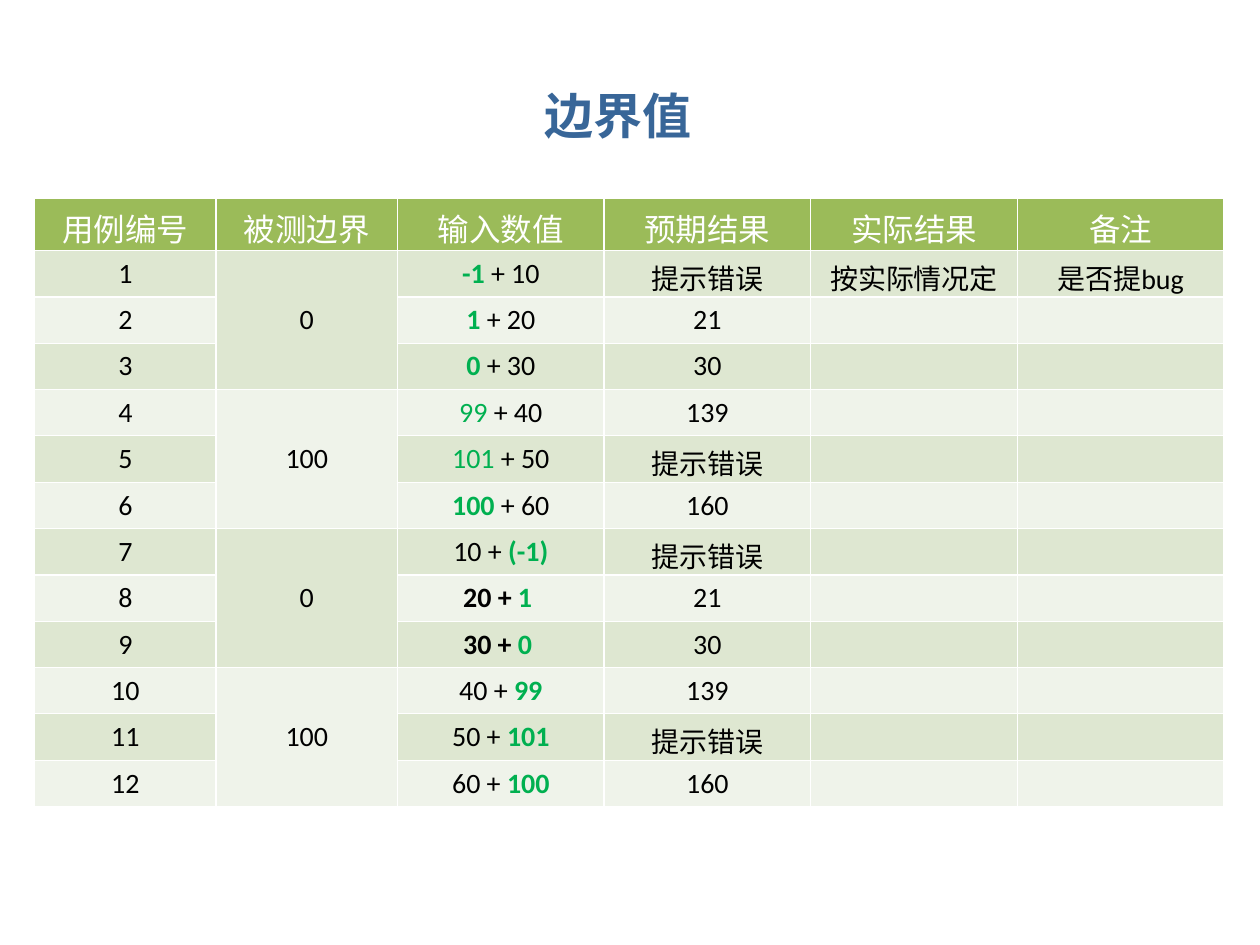
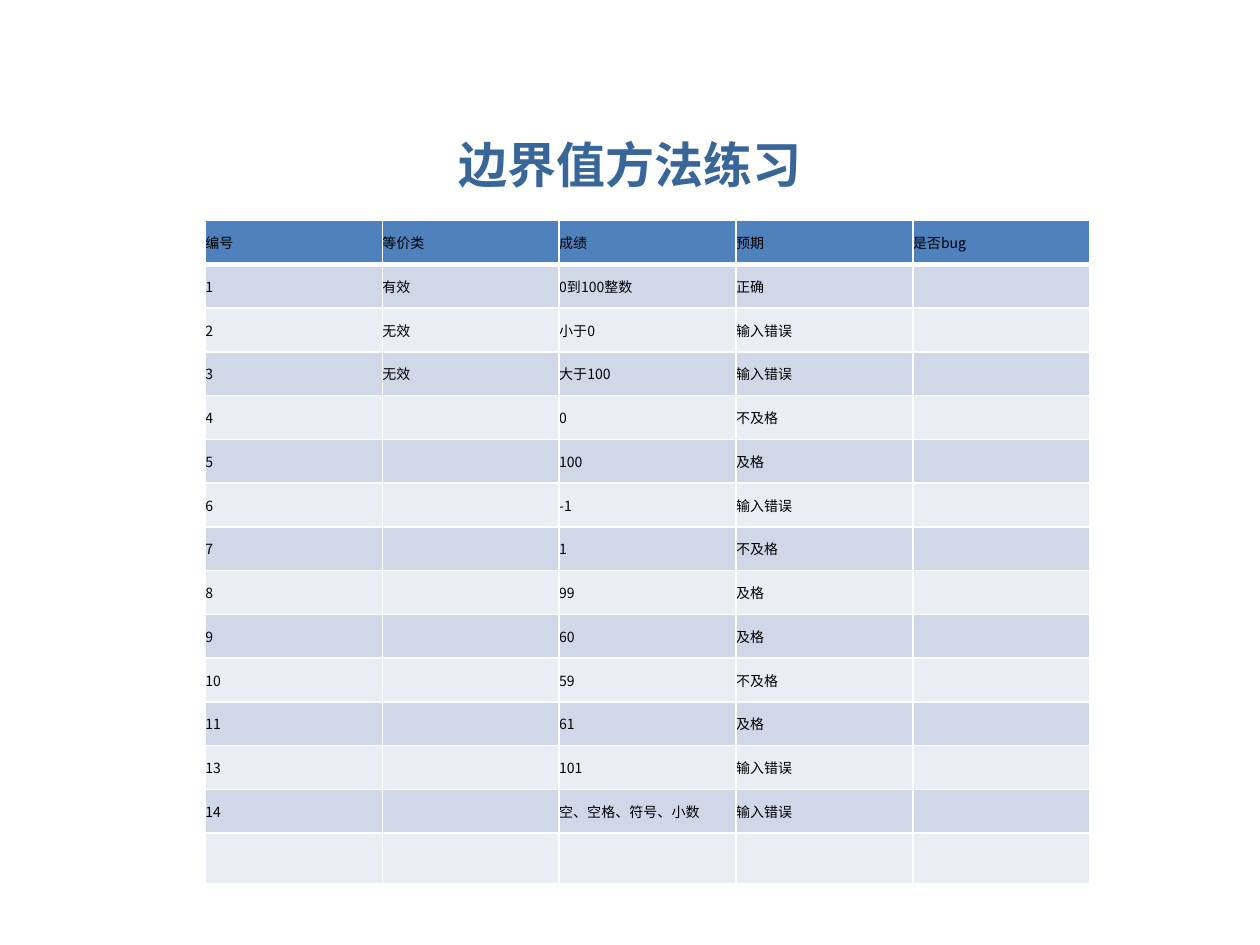
"""Builds two slides of boundary value test cases, each a title above a table."""
from dataclasses import dataclass
from typing import NamedTuple

import pptx
import pptx.dml.color
import pptx.enum.text
import pptx.oxml
import pptx.oxml.ns
import pptx.util
from lxml import etree

GRID_COLUMNS, GRID_ROWS = 100, 75
TITLE_ONLY = 5
ALIGN = pptx.enum.text.PP_ALIGN
MIDDLE = pptx.enum.text.MSO_ANCHOR.MIDDLE


@dataclass(frozen=True)
class Theme:
    """Colours, fonts and sizes shared by the slides."""
    title_font: str = "Cabin"
    title_size: int = 28
    title_color: str = "386698"
    ink: str = "000000"
    white: str = "FFFFFF"
    boundary: str = "00B050"
    thin: int = 1
    thick: int = 3


class Place(NamedTuple):
    """A rectangle in grid columns and rows."""
    left: float
    top: float
    width: float
    height: float


class Span(NamedTuple):
    """A stretch of text with its own colour and weight."""
    text: str
    color: str = ""
    bold: bool = False


class TableLook(NamedTuple):
    """The formatting of one table."""
    font: str
    header_size: int
    body_size: int
    header_color: str
    header_fill: str
    bands: tuple[str, str]
    align: ALIGN
    margin_x: float
    chinese_drop: float
    header_rule: int


class TableSlide(NamedTuple):
    """One slide: its title and its table."""
    title: str
    title_place: Place
    place: Place
    columns: list[float]
    edge_rows: dict[int, float]
    rows: list[list[str | list[Span]]]
    look: TableLook
    merges: list[tuple[int, int, int]]


THEME = Theme()
ERROR = "提示错误"
INPUT_ERROR, FAIL, PASS = "输入错误", "不及格", "及格"


def mark(text: str, bold: bool = True) -> Span:
    """Return the highlighted boundary number."""
    return Span(text, THEME.boundary, bold)


SUM_CASES = [
    ("0", [mark("-1 "), Span("+ 10")], ERROR, "按实际情况定", "是否提bug"),
    ("", [mark("1 "), Span("+ 20")], "21"),
    ("", [mark("0 "), Span("+ 30")], "30"),
    ("100", [mark("99", False), Span(" + 40")], "139"),
    ("", [mark("101", False), Span(" + 50")], ERROR),
    ("", [mark("100"), Span(" + 60")], "160"),
    ("0", [Span("10 + "), mark("(-1)")], ERROR),
    ("", [Span("20 +", bold=True), mark(" 1 ")], "21"),
    ("", [Span("30 + ", bold=True), mark("0 ")], "30"),
    ("100", [Span("40 + "), mark("99")], "139"),
    ("", [Span("50 + "), mark("101")], ERROR),
    ("", [Span("60 + "), mark("100")], "160"),
]

SCORE_CASES = [
    ("1", "有效", "0到100整数", "正确"),
    ("2", "无效", "小于0", INPUT_ERROR),
    ("3", "无效", "大于100", INPUT_ERROR),
    ("4", "", "0", FAIL),
    ("5", "", "100", PASS),
    ("6", "", "-1", INPUT_ERROR),
    ("7", "", "1", FAIL),
    ("8", "", "99", PASS),
    ("9", "", "60", PASS),
    ("10", "", "59", FAIL),
    ("11", "", "61", PASS),
    ("13", "", "101", INPUT_ERROR),
    ("14", "", "空、空格、符号、小数", INPUT_ERROR),
    (),
]

SLIDES = [
    TableSlide(
        title="边界值",
        title_place=Place(4.1, 6.3, 89.9, 5.7),
        place=Place(2.75, 15.75, 94.5, 48),
        columns=[14.4] * 2 + [16.4] * 4,
        edge_rows={0: 4},
        rows=[["用例编号", "被测边界", "输入数值", "预期结果", "实际结果", "备注"]]
        + [[str(number), *case] for number, case in enumerate(SUM_CASES, 1)],
        look=TableLook("Calibri", 18, 16, THEME.white, "9BBB59", ("DEE7D1", "EFF3EA"),
                       ALIGN.CENTER, 0.13, 0.05, THEME.thin),
        merges=[(first, first + 2, 1) for first in range(1, 13, 3)],
    ),
    TableSlide(
        title="边界值方法练习",
        title_place=Place(5, 10.25, 90, 5.5),
        place=Place(16.3, 17.5, 70.2, 52.65),
        columns=[14.04] * 5,
        edge_rows={14: 4},
        rows=[["编号", "等价类", "成绩", "预期", "是否bug"]] + [list(case) for case in SCORE_CASES],
        look=TableLook("Noto Sans CJK SC", 8, 8, THEME.ink, "4F81BD", ("D0D8E8", "E9EDF4"),
                       ALIGN.LEFT, 0, 0, THEME.thick),
        merges=[],
    ),
]


def set_all(target: object, values: dict[str, object]) -> None:
    """Set each named attribute on the target."""
    for name, value in values.items():
        setattr(target, name, value)


def format_font(font: pptx.text.text.Font, name: str, size: int, color: str, bold: bool) -> None:
    """Give a font its face, size, weight and colour."""
    set_all(font, {"name": name, "size": pptx.util.Pt(size), "bold": bold})
    font.color.rgb = pptx.dml.color.RGBColor.from_string(color)


def add_child(parent: etree._Element, tag: str, **attributes: str) -> etree._Element:
    """Append a drawing element to the parent."""
    child = etree.SubElement(parent, pptx.oxml.ns.qn(tag))
    for name, value in attributes.items():
        child.set(name, value)
    return child


def draw_borders(cell: pptx.table._Cell, top: int, bottom: int) -> None:
    """Draw white lines on the four sides of a cell."""
    properties = cell._tc.get_or_add_tcPr()
    widths = {"a:lnL": THEME.thin, "a:lnR": THEME.thin, "a:lnT": top, "a:lnB": bottom}
    for tag, width in widths.items():
        line = add_child(properties, tag, w=str(pptx.util.Pt(width)))
        add_child(add_child(line, "a:solidFill"), "a:srgbClr", val=THEME.white)


def write_cell(cell: pptx.table._Cell, content: str | list[Span], look: TableLook,
               size: int, color: str) -> None:
    """Write plain or highlighted text into a cell."""
    para = cell.text_frame.paragraphs[0]
    para.alignment = look.align
    spans = [Span(content)] if isinstance(content, str) else content
    for span in spans:
        if span.text:
            run = para.add_run()
            run.text = span.text
            format_font(run.font, look.font, size, span.color or color, span.bold)
    if not content:
        ending = add_child(para._p, "a:endParaRPr", sz=str(size * 100))
        add_child(ending, "a:latin", typeface=look.font)


def style_cell(cell: pptx.table._Cell, row: int, content: str | list[Span],
               look: TableLook) -> None:
    """Set the margins, borders and fill of a cell, with Chinese text a little lower."""
    is_chinese = isinstance(content, str) and not content.isascii()
    margin_x = pptx.util.Inches(look.margin_x)
    margin_top = pptx.util.Inches(look.chinese_drop if is_chinese else 0)
    set_all(cell, {"margin_left": margin_x, "margin_right": margin_x, "margin_top": margin_top,
                   "margin_bottom": 0, "vertical_anchor": MIDDLE})
    draw_borders(cell, look.header_rule if row == 1 else THEME.thin,
                 look.header_rule if row == 0 else THEME.thin)
    cell.fill.solid()
    fill = look.bands[(row - 1) % 2] if row else look.header_fill
    cell.fill.fore_color.rgb = pptx.dml.color.RGBColor.from_string(fill)


def add_case_table(page: pptx.slide.Slide, content: TableSlide, unit: int) -> None:
    """Add the table of test cases."""
    frame = [round(length * unit) for length in content.place]
    row_count, look = len(content.rows), content.look
    table = page.shapes.add_table(row_count, len(content.columns), *frame).table
    set_all(table, {"first_row": False, "horz_banding": False})
    for column, width in zip(table.columns, content.columns):
        column.width = round(width * unit)
    even_height = ((content.place.height - sum(content.edge_rows.values()))
                   / (row_count - len(content.edge_rows)))
    for row_number, texts in enumerate(content.rows):
        table.rows[row_number].height = round(content.edge_rows.get(row_number, even_height) * unit)
        size = look.body_size if row_number else look.header_size
        color = THEME.ink if row_number else look.header_color
        for column_number in range(len(content.columns)):
            cell = table.cell(row_number, column_number)
            text = texts[column_number] if column_number < len(texts) else ""
            style_cell(cell, row_number, text, look)
            write_cell(cell, text, look, size, color)
    for first, last, column_number in content.merges:
        table.cell(first, column_number).merge(table.cell(last, column_number))


def add_title(page: pptx.slide.Slide, content: TableSlide, unit: int) -> None:
    """Place and format the slide title."""
    title = page.shapes.title
    lengths = [round(length * unit) for length in content.title_place]
    set_all(title, dict(zip(("left", "top", "width", "height"), lengths)))
    set_all(title.text_frame, {"text": content.title, "vertical_anchor": MIDDLE, "word_wrap": True})
    para = title.text_frame.paragraphs[0]
    para.alignment = ALIGN.CENTER
    format_font(para.runs[0].font, THEME.title_font, THEME.title_size, THEME.title_color, True)


def main() -> None:
    """Build and save the deck."""
    deck = pptx.Presentation()
    set_all(deck, {"slide_width": pptx.util.Inches(10), "slide_height": pptx.util.Inches(7.5)})
    unit = min(deck.slide_width // GRID_COLUMNS, deck.slide_height // GRID_ROWS)
    for content in SLIDES:
        page = deck.slides.add_slide(deck.slide_layouts[TITLE_ONLY])
        add_title(page, content, unit)
        add_case_table(page, content, unit)
    deck.save("out.pptx")


if __name__ == "__main__":
    main()
